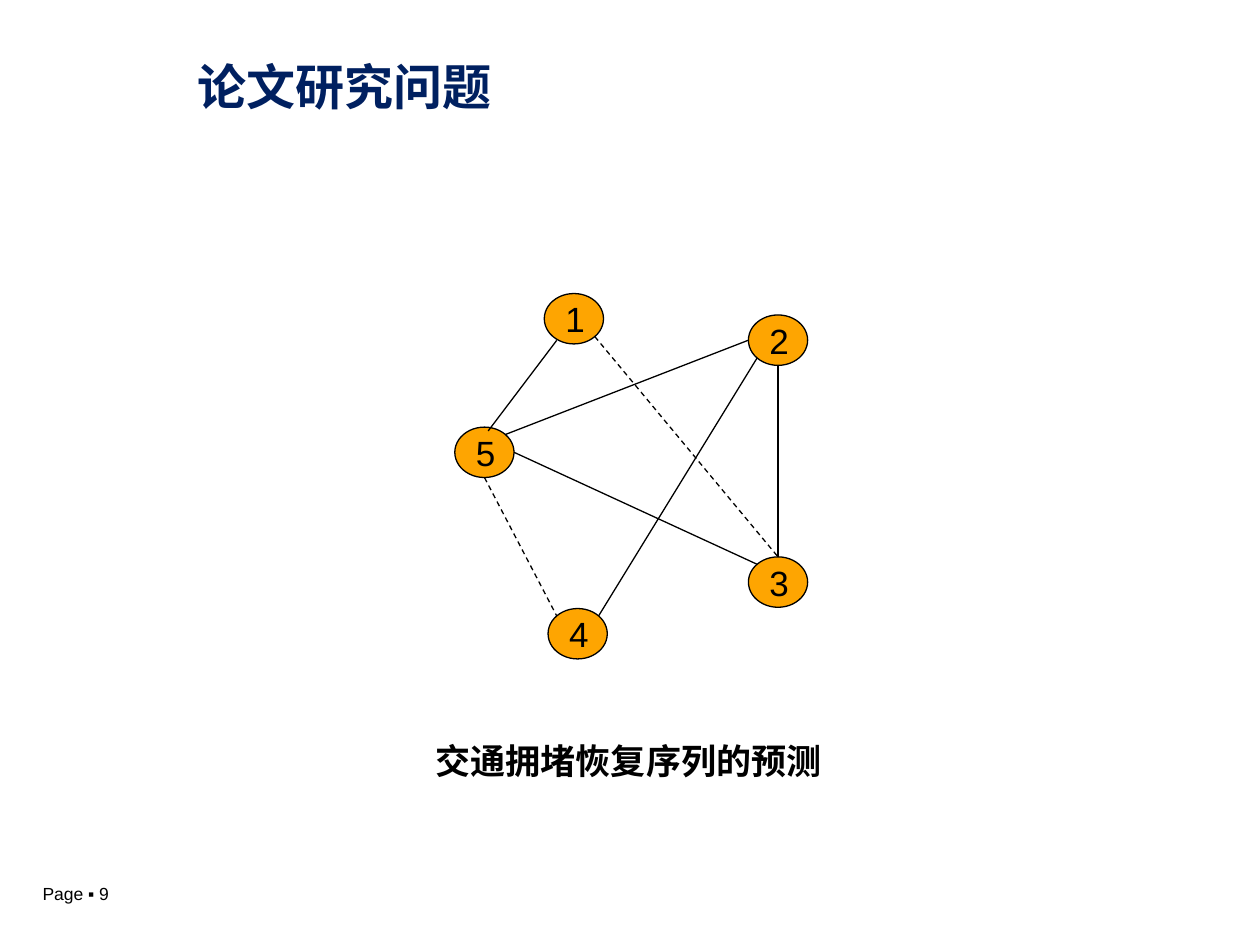
from dataclasses import dataclass
from math import cos, radians, sin

from lxml.etree import SubElement
from pptx import Presentation
from pptx.dml.color import RGBColor
from pptx.enum.dml import MSO_LINE
from pptx.enum.shapes import MSO_CONNECTOR, MSO_SHAPE
from pptx.enum.text import MSO_ANCHOR, MSO_AUTO_SIZE, PP_ALIGN
from pptx.oxml.ns import qn
from pptx.util import Inches, Pt

NAVY = RGBColor(0x00, 0x20, 0x60)
BLACK = RGBColor(0x00, 0x00, 0x00)
ORANGE = RGBColor(0xFE, 0xA5, 0x01)

WIDE, HIGH = Inches(10), Inches(7.5)
COLS, ROWS = 1000, 750
NODE_W, NODE_H = 47, 40
TOP, TOP_LEFT, LEFT, LOW_LEFT, LOW, LOW_RIGHT, RIGHT, TOP_RIGHT = range(8)


@dataclass
class Label:
    text: str
    col: float
    row: float
    cols: float
    rows: float
    font: dict
    color: RGBColor = BLACK
    wrap: bool = False
    fit: MSO_AUTO_SIZE = MSO_AUTO_SIZE.SHAPE_TO_FIT_TEXT
    gap: float = 1.0


@dataclass
class Node:
    name: str
    col: float
    row: float

    def site(self, side: int) -> tuple[float, float]:
        turn = radians(45 * side)
        x = self.col + NODE_W / 2 * (1 - sin(turn))
        y = self.row + NODE_H / 2 * (1 - cos(turn))
        return x, y


@dataclass
class Link:
    start: str
    out: int
    end: str
    into: int
    dashed: bool = False
    shift: float = 0


LABELS = [
    Label("Page ▪ 9", 24, 696, 147, 27, {"name": "Arial", "size": Pt(10)},
          wrap=True, fit=MSO_AUTO_SIZE.NONE),
    Label("论文研究问题", 147, 31, 253, 66,
          {"name": "Arial", "size": Pt(28), "bold": True}, NAVY, gap=1.2),
    Label("交通拥堵恢复序列的预测", 336, 582, 326, 44,
          {"name": "Times New Roman", "size": Pt(20), "bold": True}),
]
NODES = [
    Node("1", 432, 233),
    Node("2", 594, 250),
    Node("3", 594, 442),
    Node("4", 435, 483),
    Node("5", 361, 339),
]
LINKS = [
    Link("1", LOW_LEFT, "5", TOP, shift=3),
    Link("5", LOW, "4", TOP_LEFT, dashed=True),
    Link("5", RIGHT, "3", TOP_LEFT),
    Link("2", LOW_LEFT, "4", TOP_RIGHT),
    Link("2", LOW, "3", TOP),
    Link("5", TOP_RIGHT, "2", LEFT),
    Link("1", LOW_RIGHT, "3", TOP, dashed=True),
]
DIGIT = {"name": "Arial", "size": Pt(20)}


def across(col: float) -> int:
    return round(WIDE * col / COLS)


def down(row: float) -> int:
    return round(HIGH * row / ROWS)


def apply(item, values: dict) -> None:
    for key, value in values.items():
        setattr(item, key, value)


def write(shape, text: str, font: dict, color: RGBColor, frame: dict, para: dict) -> None:
    apply(shape.text_frame, frame)
    line = shape.text_frame.paragraphs[0]
    apply(line, para)
    run = line.add_run()
    run.text = text
    apply(run.font, font)
    run.font.color.rgb = color


def stroke(line) -> None:
    line.color.rgb = BLACK
    line.width = Pt(0.75)


def draw_label(slide, label: Label) -> None:
    box = slide.shapes.add_textbox(across(label.col), down(label.row),
                                   across(label.cols), down(label.rows))
    write(box, label.text, label.font, label.color,
          {"word_wrap": label.wrap, "auto_size": label.fit},
          {"line_spacing": label.gap})


def draw_node(slide, node: Node) -> None:
    oval = slide.shapes.add_shape(MSO_SHAPE.OVAL, across(node.col), down(node.row),
                                  across(NODE_W), down(NODE_H))
    oval.shadow.inherit = False
    oval.fill.solid()
    oval.fill.fore_color.rgb = ORANGE
    stroke(oval.line)
    write(oval, node.name, DIGIT, BLACK,
          {"word_wrap": False, "vertical_anchor": MSO_ANCHOR.MIDDLE},
          {"alignment": PP_ALIGN.LEFT})


def draw_link(slide, link: Link, nodes: dict[str, Node]) -> None:
    ends = []
    for name, side in ((link.start, link.out), (link.end, link.into)):
        x, y = nodes[name].site(side)
        ends += [across(x + link.shift), down(y + link.shift)]
    wire = slide.shapes.add_connector(MSO_CONNECTOR.STRAIGHT, *ends)
    stroke(wire.line)
    if link.dashed:
        wire.line.dash_style = MSO_LINE.DASH
    SubElement(wire._element.spPr, qn("a:effectLst"))


def main() -> None:
    deck = Presentation()
    apply(deck, {"slide_width": WIDE, "slide_height": HIGH})
    slide = deck.slides.add_slide(deck.slide_layouts[6])
    for label in LABELS:
        draw_label(slide, label)
    for node in NODES:
        draw_node(slide, node)
    nodes = {node.name: node for node in NODES}
    for link in LINKS:
        draw_link(slide, link, nodes)
    deck.save("out.pptx")


if __name__ == "__main__":
    main()
